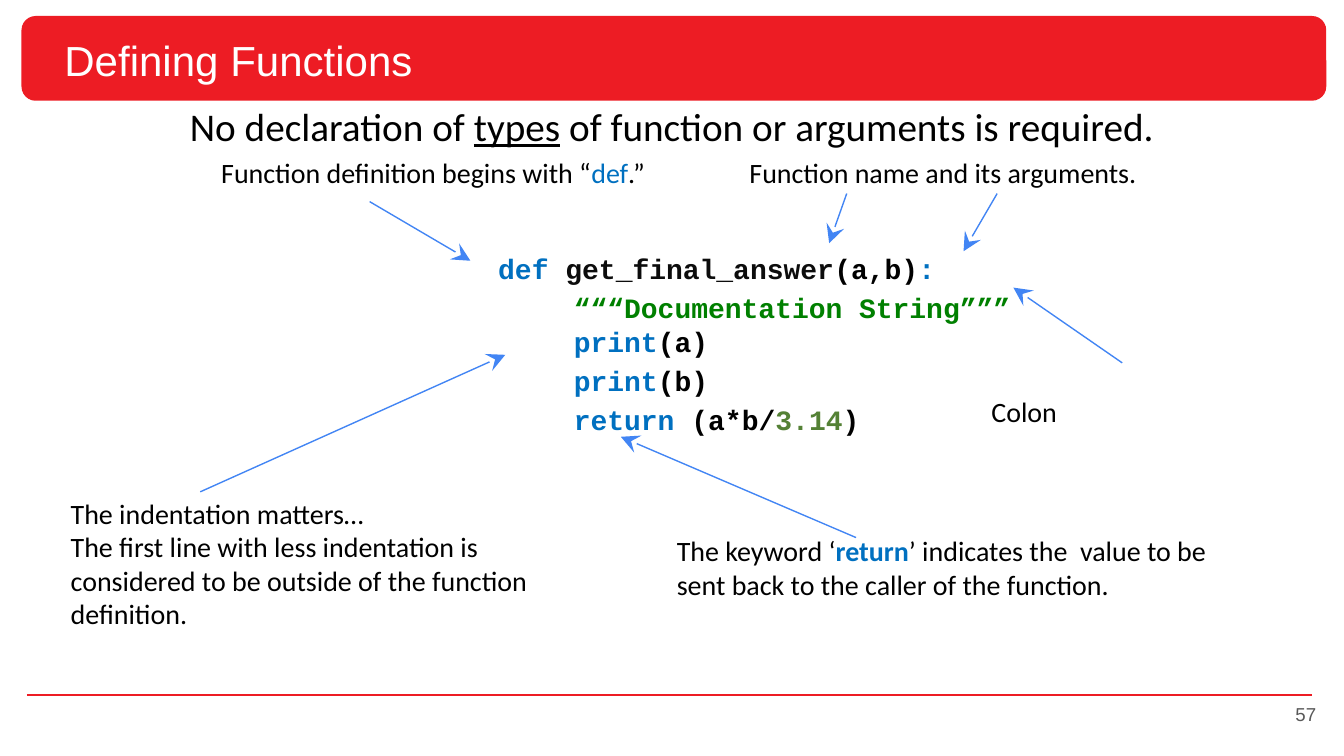
from pptx import Presentation
from pptx.dml.color import RGBColor as Color
from pptx.enum.shapes import MSO_CONNECTOR as Link, MSO_SHAPE as Shape
from pptx.enum.text import MSO_ANCHOR as Anchor, PP_ALIGN as Align
from pptx.oxml.ns import qn
from pptx.util import Pt
from lxml.etree import SubElement as Sub

RED, BLUE, KEY = "ED1C24", "4285F4", "0070C0"
BLACK, GREEN = "000000", "008000"


def tint(code):
    return Color.from_string(code)


def write(para, text, size=15, face="Calibri", color=BLACK, bold=False, under=False):
    run = para.add_run()
    run.text = text
    font = run.font
    font.size, font.name = Pt(size), face
    font.bold, font.underline = bold, under
    font.color.rgb = tint(color)


class Deck:
    def __init__(self, wide, high):
        self.show = Presentation()
        self.show.slide_width, self.show.slide_height = Pt(wide), Pt(high)
        self.slide = self.show.slides.add_slide(self.show.slide_layouts[6])

    def bar(self, x, y, w, h):
        bar = self.slide.shapes.add_shape(Shape.ROUNDED_RECTANGLE, Pt(x), Pt(y), Pt(w), Pt(h))
        bar.shadow.inherit = False
        bar.fill.solid()
        bar.fill.fore_color.rgb = tint(RED)
        bar.line.fill.background()

    def line(self, x1, y1, x2, y2, color=BLUE, width=0.75, head=True):
        line = self.slide.shapes.add_connector(Link.STRAIGHT, Pt(x1), Pt(y1), Pt(x2), Pt(y2))
        line.line.color.rgb = tint(color)
        line.line.width = Pt(width)
        if head:
            Sub(line.line._get_or_add_ln(), qn("a:tailEnd"), type="stealth", w="lg", len="lg")
        Sub(line._element.spPr, qn("a:effectLst"))

    def text(self, x, y, w, h, rows, align=Align.LEFT, anchor=Anchor.TOP,
             pad=5.5, space=None, before=0, hang=None, **style):
        frame = self.slide.shapes.add_textbox(Pt(x), Pt(y), Pt(w), Pt(h)).text_frame
        frame.word_wrap, frame.vertical_anchor = True, anchor
        frame.margin_left = frame.margin_right = Pt(pad)
        frame.margin_top = frame.margin_bottom = Pt(3)
        for i, row in enumerate(rows):
            para = frame.add_paragraph() if i else frame.paragraphs[0]
            para.alignment, para.line_spacing = align, space
            para.space_before = Pt(before if i else 0)
            if hang:
                props = para._p.get_or_add_pPr()
                props.set("marL", str(Pt(hang[0])))
                props.set("indent", str(Pt(hang[1])))
            for part in [row] if isinstance(row, str) else row:
                words, extra = (part, {}) if isinstance(part, str) else part
                if words == "\n":
                    para.add_line_break()
                else:
                    write(para, words, **{**style, **extra})


def main():
    deck = Deck(720, 405)
    key = {"color": KEY}
    deck.line(14.4, 372.2, 702.7, 372.2, color=RED, width=1, head=False)
    deck.bar(11.5, 8.6, 699, 45.4)
    deck.text(27.4, 9.4, 671, 45.4, ["Defining Functions"], anchor=Anchor.MIDDLE,
              pad=7.2, size=22.5, face="Arial", color="FFFFFF")
    deck.text(24.5, 54.7, 671, 36,
              [["No declaration of ", ("types", {"under": True}),
                " of function or arguments is required."]],
              align=Align.CENTER, space=0.9, size=21)
    deck.text(207.4, 131.8, 382.3, 108.7, [
        [("def ", key), ("get_final_answer", {"color": "0C0C0C"}), "(a,b)", (":", key)],
        ["\t   ", ("“““Documentation String”””", {"color": GREEN}), "\n",
         "   ", ("print", key), "(a)"],
        ["\t   ", ("print", key), "(b)"],
        ["\t   ", ("return", key), " (a*b/", ("3.14", {"color": "548135"}), ")"],
    ], before=3, hang=(67.5, -13.5), face="Courier New", bold=True)

    deck.text(113, 80.6, 238.3, 23.8,
              [["Function definition begins with “", ("def", key), ".”"]])
    deck.text(396, 80.6, 218.9, 23.8, ["Function name and its arguments."])
    deck.text(525.6, 208.3, 100, 23.8, ["Colon"])
    deck.text(32.4, 262.8, 257, 77.8, [
        "The indentation matters…",
        "The first line with less indentation is considered to be outside of the function definition.",
    ])
    deck.text(357.1, 283, 305.3, 41.8,
              [["The keyword ‘", ("return", {"color": KEY, "bold": True}),
                "’ indicates the  value to be sent back to the caller of the function."]])
    for ends in [
        (198, 108, 252, 139.7),
        (453.6, 103.7, 444.2, 130.3),
        (534.2, 103.7, 516.2, 134.6),
        (601.2, 194.4, 542.9, 154.1),
        (107.3, 263.5, 270.7, 190.1),
        (458.6, 288, 332.6, 234),
    ]:
        deck.line(*ends)
    deck.text(667.4, 367.2, 43.2, 31, ["57"], align=Align.RIGHT,
              anchor=Anchor.MIDDLE, size=10, face="Arial", color="595959")
    deck.show.save("out.pptx")


if __name__ == "__main__":
    main()
